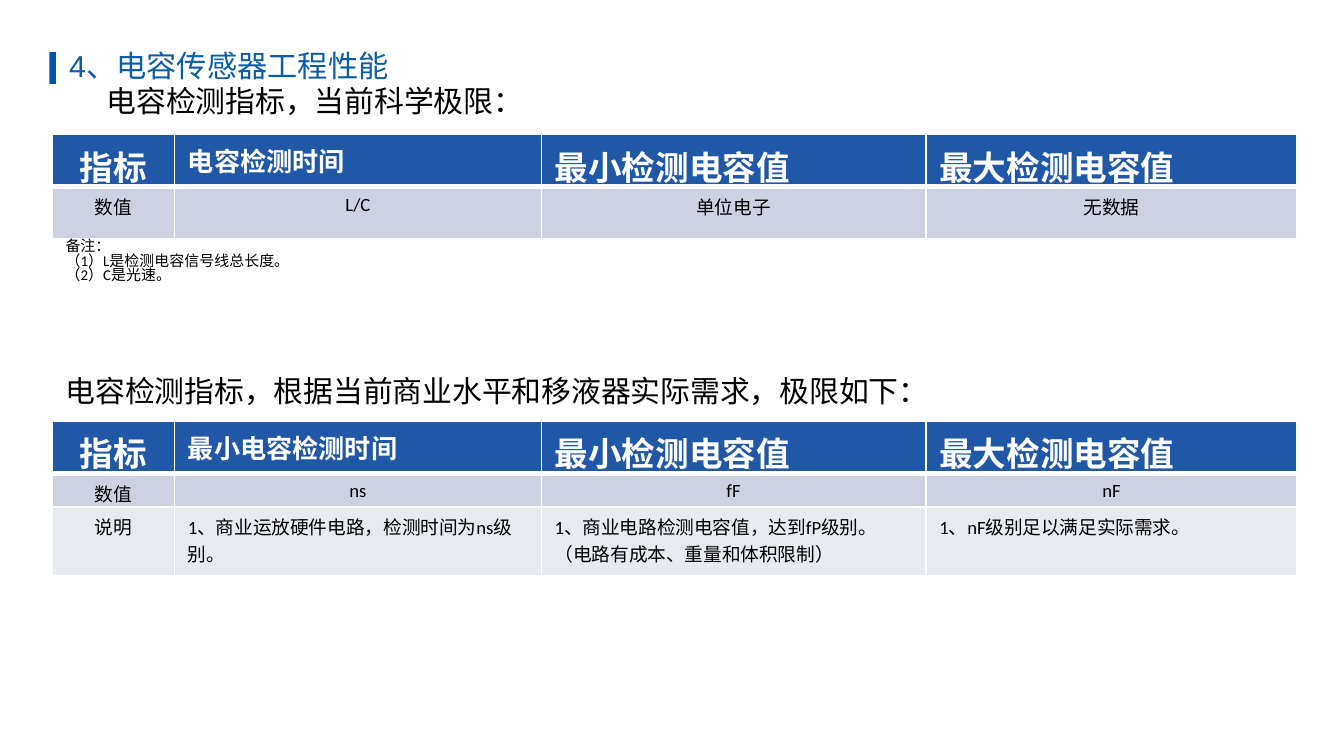
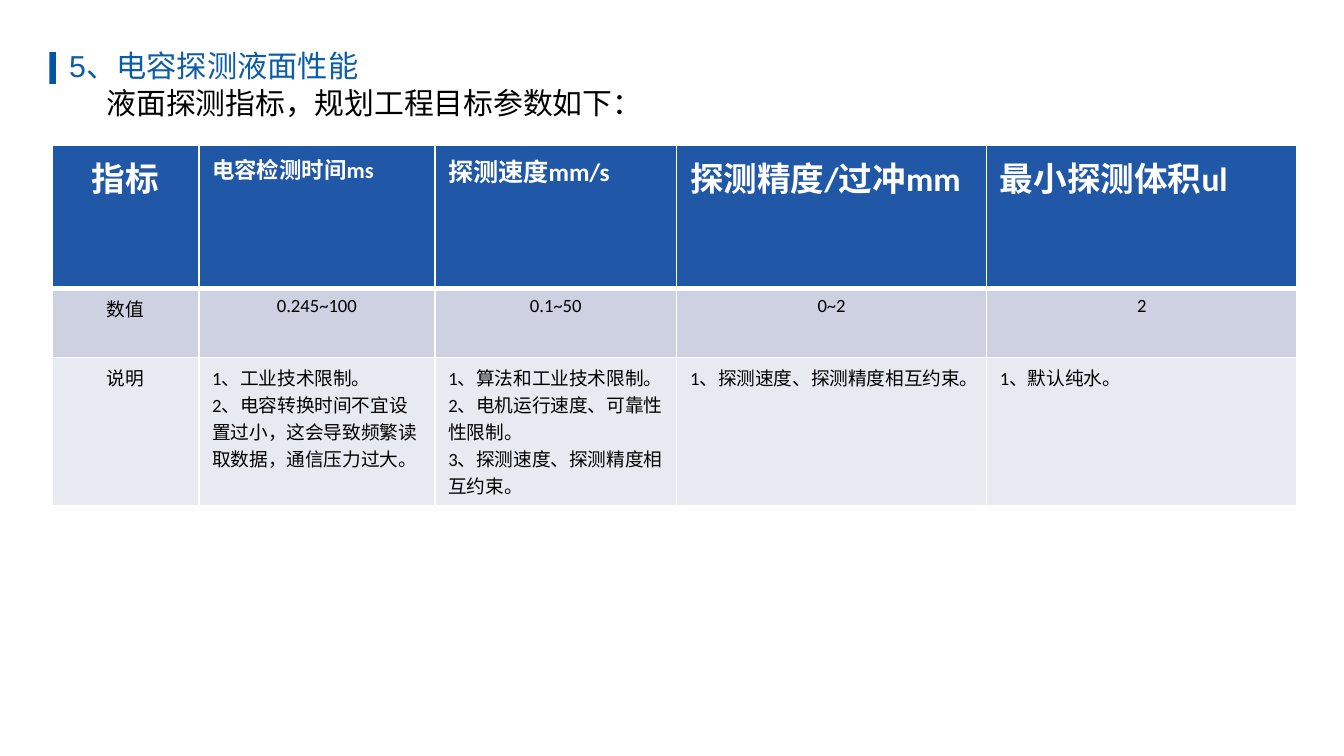
from lxml.etree import SubElement
from pptx import Presentation
from pptx.dml.color import RGBColor
from pptx.enum.shapes import MSO_SHAPE
from pptx.enum.text import MSO_ANCHOR, PP_ALIGN
from pptx.oxml.ns import qn
from pptx.util import Pt

BAR, TITLE, HEADER = "0055A8", "0C5DA7", "2057A6"
VALUE_ROW, NOTE_ROW = "CDD1E1", "E8EAF1"
WHITE, BLACK = "FFFFFF", "000000"
CJK = "Noto Sans CJK SC"
LATIN = "Calibri"
LEFT = 28


def rgb(color):
    return RGBColor.from_string(color)


def style(p, size, color, latin=None, bold=False, align=None):
    """Set the font of a paragraph; Chinese text always uses the CJK face."""
    f = p.font
    f.size, f.bold = Pt(size), bold
    f.color.rgb = rgb(color)
    if latin:
        f.name = latin
    SubElement(p._p.pPr.find(qn("a:defRPr")), qn("a:ea"), typeface=CJK)
    p.alignment = align


def add_text(s, x, y, w, h, lines, size, color=BLACK, latin=None,
             align=PP_ALIGN.JUSTIFY, spacing=0.9, indent=0, anchor=MSO_ANCHOR.TOP):
    tf = s.shapes.add_textbox(Pt(x), Pt(y), Pt(w), Pt(h)).text_frame
    tf.word_wrap = True
    tf.vertical_anchor = anchor
    tf.text = "\n".join(lines)
    for p in tf.paragraphs:
        style(p, size, color, latin, align=align)
        p.line_spacing = spacing
        if indent:
            p._p.pPr.set("indent", str(Pt(indent)))


def add_heading(s, text):
    """Add the blue bar and the slide title beside it."""
    sp = s.shapes.add_shape(MSO_SHAPE.RECTANGLE, Pt(26.5), Pt(28), Pt(3.5), Pt(17))
    sp.shadow.inherit = False
    sp.fill.solid()
    sp.fill.fore_color.rgb = rgb(BAR)
    sp.line.fill.background()
    add_text(s, 30, 21.5, 358, 27.5, [text], 16.2, TITLE, "Arial",
             align=PP_ALIGN.LEFT, spacing=1, anchor=MSO_ANCHOR.MIDDLE)


def add_caption(s, y, text, indent=0):
    add_text(s, LEFT, y, 644, 26.5, [text], 16, indent=indent)


def fill_cell(cell, text, fill, top, bottom):
    """Set text, margins, white borders and fill; top and bottom are border widths."""
    cell.text = text
    cell.margin_bottom = 0
    tcPr = cell._tc.get_or_add_tcPr()
    for side, width in (("L", 1), ("R", 1), ("T", top), ("B", bottom)):
        ln = SubElement(tcPr, qn(f"a:ln{side}"), w=str(Pt(width)))
        SubElement(SubElement(ln, qn("a:solidFill")), qn("a:srgbClr"), val=WHITE)
    cell.fill.solid()
    cell.fill.fore_color.rgb = rgb(fill)


def add_indicator_table(s, y, widths, heights, header, body):
    """Header items are (text, size, latin font); body rows are lists of text."""
    frame = s.shapes.add_table(len(heights), len(widths), Pt(LEFT), Pt(y),
                               Pt(sum(widths)), Pt(sum(heights)))
    table = frame.table
    for column, width in zip(table.columns, widths):
        column.width = Pt(width)
    for row, height in zip(table.rows, heights):
        row.height = Pt(height)
    for c, (text, size, latin) in enumerate(header):
        cell = table.cell(0, c)
        fill_cell(cell, text, HEADER, 1, 3)
        align = PP_ALIGN.LEFT if c else PP_ALIGN.CENTER
        style(cell.text_frame.paragraphs[0], size, WHITE, latin, True, align)
    for r, texts in enumerate(body, 1):
        for c, text in enumerate(texts):
            cell = table.cell(r, c)
            fill_cell(cell, text, VALUE_ROW if r == 1 else NOTE_ROW, 3 if r == 1 else 1, 1)
            align = PP_ALIGN.CENTER if r == 1 or c == 0 else PP_ALIGN.LEFT
            for p in cell.text_frame.paragraphs:
                style(p, 10, BLACK, LATIN, align=align)


def sensor_slide(s):
    widths = [65.5, 196.5, 206, 199]

    def header(time_label):
        return [("指标", 18, LATIN), (time_label, 14, None),
                ("最小检测电容值", 18, LATIN), ("最大检测电容值", 18, LATIN)]

    add_heading(s, "4、电容传感器工程性能")
    add_caption(s, 43, "电容检测指标，当前科学极限：", indent=22)
    add_indicator_table(s, 72, widths, [28, 28], header("电容检测时间"),
                        [["数值", "L/C", "单位电子", "无数据"]])
    add_text(s, LEFT, 125, 644, 36,
             ["备注：", "（1）L是检测电容信号线总长度。", "（2）C是光速。"], 8, spacing=0.82)
    add_caption(s, 198.5, "电容检测指标，根据当前商业水平和移液器实际需求，极限如下：")
    add_indicator_table(s, 225.5, widths, [28, 18, 37], header("最小电容检测时间"), [
        ["数值", "ns", "fF", "nF"],
        ["说明", "1、商业运放硬件电路，检测时间为ns级别。",
         "1、商业电路检测电容值，达到fP级别。（电路有成本、重量和体积限制）",
         "1、nF级别足以满足实际需求。"],
    ])


def liquid_slide(s):
    add_heading(s, "5、电容探测液面性能")
    header = [("指标", 18, LATIN), ("电容检测时间ms", 12, None), ("探测速度mm/s", 13.5, LATIN),
              ("探测精度/过冲mm", 18, LATIN), ("最小探测体积ul", 18, LATIN)]
    add_indicator_table(s, 78, [78.5, 126.5, 129.5, 166, 166.5], [76.5, 37, 79.5], header, [
        ["数值", "0.245~100", "0.1~50", "0~2", "2"],
        ["说明",
         "1、工业技术限制。\n2、电容转换时间不宜设置过小，这会导致频繁读取数据，通信压力过大。",
         "1、算法和工业技术限制。\n2、电机运行速度、可靠性性限制。\n3、探测速度、探测精度相互约束。",
         "1、探测速度、探测精度相互约束。", "1、默认纯水。"],
    ])
    add_caption(s, 44, "液面探测指标，规划工程目标参数如下：", indent=22)


def main():
    prs = Presentation()
    prs.slide_width, prs.slide_height = Pt(720), Pt(405)
    for build in (sensor_slide, liquid_slide):
        build(prs.slides.add_slide(prs.slide_layouts[6]))
    prs.save("out.pptx")


if __name__ == "__main__":
    main()
